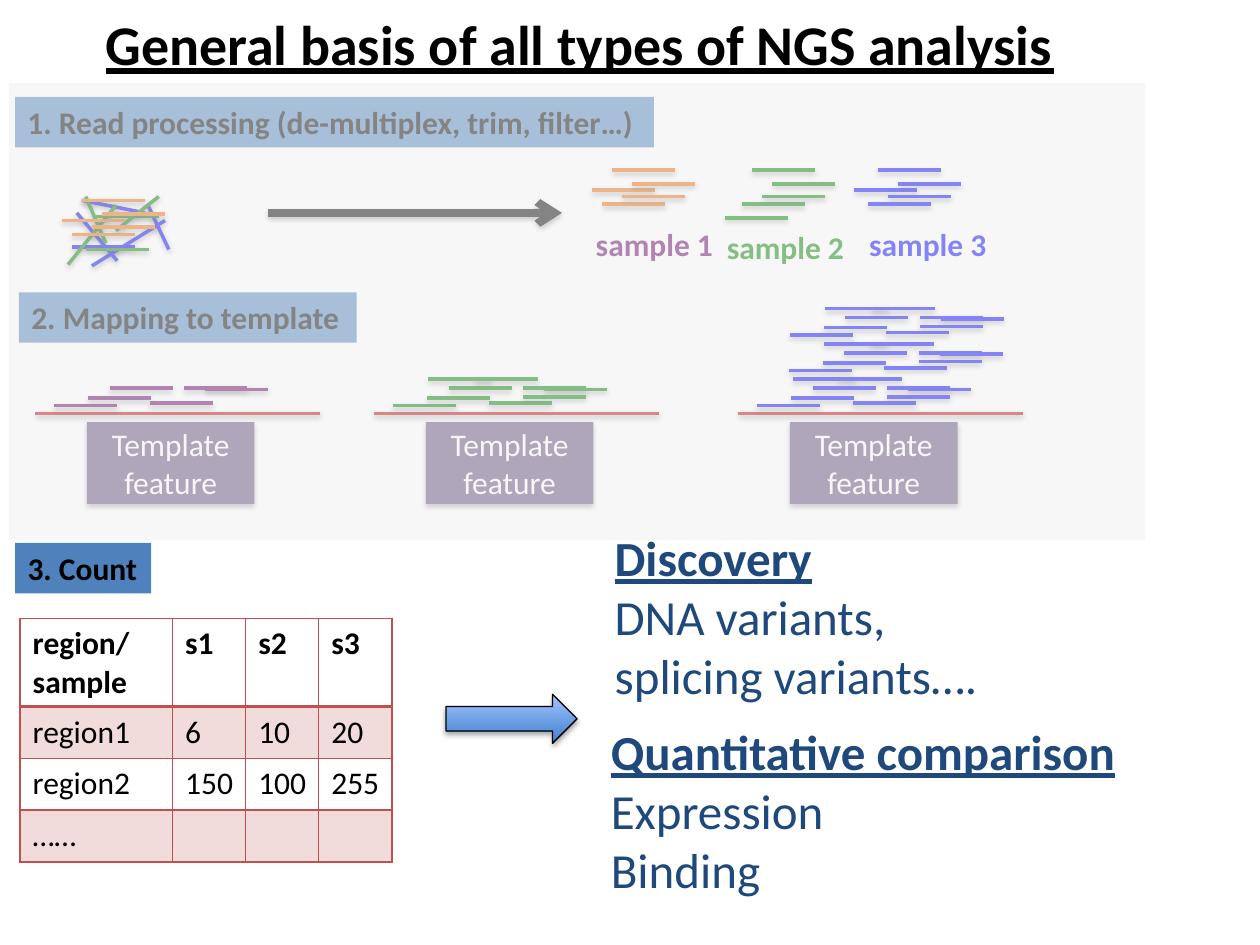
from dataclasses import dataclass
from typing import Iterable, NamedTuple

from lxml.etree import SubElement as Sub
from pptx import Presentation
from pptx.dml.color import RGBColor as Rgb
from pptx.enum.shapes import MSO_CONNECTOR as Link, MSO_SHAPE as Form
from pptx.enum.text import MSO_ANCHOR as Anchor, MSO_AUTO_SIZE as Fit, PP_ALIGN as Align
from pptx.oxml import parse_xml
from pptx.oxml.ns import nsdecls, qn
from pptx.util import Inches, Pt


@dataclass(frozen=True)
class Theme:
    font: str = "Calibri"
    black: str = "000000"
    white: str = "FFFFFF"
    navy: str = "1F497D"
    bar: str = "4F81BD"
    box: str = "604A7B"
    track: str = "BE0204"
    grid: str = "C0504D"
    veil: str = "F2F2F2"
    orange: str = "E46C0A"
    plum: str = "660066"
    green: str = "008000"
    blue: str = "0000FF"
    dark: str = "3F80CE"
    light: str = "A4C4FF"
    head: int = 32
    large: int = 28
    body: int = 18


class Spot(NamedTuple):
    """A point on a grid of 100 columns by 75 rows."""
    col: float
    row: float

    def move(self, by: "Spot") -> "Spot":
        return Spot(self.col + by.col, self.row + by.row)


class Area(NamedTuple):
    col: float
    row: float
    wide: float
    high: float


class Batch(NamedTuple):
    """The reads of one sample after sorting."""
    name: str
    label: Spot
    base: Spot
    extra: Spot
    tone: str
    ink: str


class Map(NamedTuple):
    """The reads of one sample on its template."""
    col: float
    reads: list[Spot]
    tone: str


class Panel(NamedTuple):
    area: Area
    head: str
    lines: tuple[str, ...]


THEME = Theme()
READ = 5
BATCH = [Spot(.8, 1.1), Spot(2.4, .5), Spot(1.6, -1.6), Spot(3.2, -.5)]
CORE = [Spot(9.1, -.8), Spot(1.5, -.6), Spot(4.2, -1.2), Spot(11.8, -2), Spot(5.9, -2)]
PEAK = Spot(13.5, -1.9)
FULL = CORE + [PEAK, Spot(11.8, -1.3), Spot(8, -2.7), Spot(4.3, -2.7)]
LAYERS = [Spot(0, 0), Spot(2.5, -2.8), Spot(2.6, -5.6)]

BATCHES = [
    Batch("sample 1", Spot(46.3, 17.4), Spot(47, 15.1), Spot(0, 0), THEME.orange, THEME.plum),
    Batch("sample 2", Spot(56.7, 17.6), Spot(58.1, 15.1), Spot(-.6, 2.2), THEME.green, THEME.green),
    Batch("sample 3", Spot(68, 17.4), Spot(68.1, 15.1), Spot(-.3, 0), THEME.blue, THEME.blue),
]
MAPS = [
    Map(2.8, CORE + [PEAK], THEME.plum),
    Map(29.7, FULL, THEME.green),
    Map(58.6, [spot.move(up) for up in LAYERS for spot in FULL], THEME.blue),
]
TANGLE = {
    THEME.blue: [(11.7, 16.2, 13.4, 19.8), (5.7, 19.6, 10.7, 19.6), (7.3, 21.1, 13.1, 17.5),
                 (6.5, 15.9, 11.5, 16.9), (6.1, 16.9, 9.3, 20.7)],
    THEME.green: [(5.4, 21, 9.2, 16.3), (6.8, 19.8, 11.8, 19.8), (8.4, 19.3, 6.8, 15.6),
                  (7.6, 17.2, 12.6, 17.2), (9.2, 18.3, 12.6, 15.6)],
}
BARS = [
    (Area(1.5, 23.2, 26.8, 4), "2. Mapping to template"),
    (Area(1.2, 43.1, 10.8, 4), "3. Count"),
    (Area(1.2, 7.7, 50.7, 4), "1. Read processing (de-multiplex, trim, filter…)"),
]
PANELS = [
    Panel(Area(47.8, 41.4, 31.2, 15.1), "Discovery", ("DNA variants,", "splicing variants….")),
    Panel(Area(47.5, 56.8, 42.6, 15.1), "Quantitative comparison", ("Expression", "Binding")),
]
COUNTS = [("region/sample", "s1", "s2", "s3"), ("region1", "6", "10", "20"),
          ("region2", "150", "100", "255"), ("……", "", "", "")]

deck = Presentation()
deck.slide_width, deck.slide_height = Inches(10), Inches(7.5)
slide = deck.slides.add_slide(deck.slide_layouts[5])
shapes = slide.shapes


def scale(*cells: float) -> list[int]:
    return [round(cell * deck.slide_width / 100) for cell in cells]


def write(para, text: str, size: int, tone: str, bold=False, under=False) -> None:
    run = para.add_run()
    run.text = text
    font = run.font
    font.name, font.size, font.bold, font.underline = THEME.font, Pt(size), bold, under
    font.color.rgb = Rgb.from_string(tone)


def fade(node, share: int) -> None:
    """Make the first colour under the node partly clear."""
    Sub(next(node.iter(qn("a:srgbClr"))), qn("a:alpha"), val=str(share * 1000))


def shade(item, share: int, dist: float) -> None:
    """Give a soft shadow that falls straight down."""
    props = item._element.spPr
    for old in props.findall(qn("a:effectLst")):
        props.remove(old)
    cast = Sub(Sub(props, qn("a:effectLst")), qn("a:outerShdw"), blurRad=str(Pt(3.15)),
               dist=str(Pt(dist)), dir="5400000", rotWithShape="0")
    Sub(cast, qn("a:srgbClr"), val=THEME.black)
    fade(cast, share)


def stroke(start: Spot, end: Spot, tone: str, width: float = 2, arrow=False) -> None:
    item = shapes.add_connector(Link.STRAIGHT, *scale(*start, *end))
    item.line.width = Pt(width)
    item.line.color.rgb = Rgb.from_string(tone)
    if arrow:
        Sub(item.line._get_or_add_ln(), qn("a:tailEnd"), type="arrow")
    shade(item, 38, 1.57)


def pile(base: Spot, reads: Iterable[Spot], tone: str) -> None:
    """Draw level reads at their offsets from the base."""
    for read in reads:
        start = base.move(read)
        stroke(start, start.move(Spot(READ, 0)), tone)


def block(area: Area, tone: str, form=Form.RECTANGLE):
    item = shapes.add_shape(form, *scale(*area))
    item.shadow.inherit = False
    item.fill.solid()
    item.fill.fore_color.rgb = Rgb.from_string(tone)
    item.line.fill.background()
    return item


def note(area: Area):
    frame = shapes.add_textbox(*scale(*area)).text_frame
    frame.word_wrap, frame.auto_size = False, Fit.SHAPE_TO_FIT_TEXT
    return frame


def edge(cell, low: int) -> None:
    props = cell._tc.get_or_add_tcPr()
    for side, width in zip("LRTB", (1, 1, 1, low)):
        props.append(parse_xml(
            f'<a:ln{side} {nsdecls("a")} w="{Pt(width)}"><a:solidFill>'
            f'<a:srgbClr val="{THEME.grid}"/></a:solidFill></a:ln{side}>'))


def tally(area: Area) -> None:
    """Draw the table of counts."""
    table = shapes.add_table(len(COUNTS), len(COUNTS[0]), *scale(*area)).table
    table.first_row = table.horz_banding = False
    for part, wide in zip(table.columns, scale(12.1, 5.8, 5.8, 5.8)):
        part.width = wide
    for part, high in zip(table.rows, scale(7, 4.1, 4.1, 4.1)):
        part.height = high
    for row, texts in enumerate(COUNTS):
        for col, text in enumerate(texts):
            cell = table.cell(row, col)
            edge(cell, 1 if row else 2)
            if row % 2:
                cell.fill.solid()
                cell.fill.fore_color.rgb = Rgb.from_string(THEME.grid)
                fade(cell._tc.tcPr.find(qn("a:solidFill")), 20)
            else:
                cell.fill.background()
            if text:
                write(cell.text_frame.paragraphs[0], text, THEME.body, THEME.black, row == 0)


title = shapes.title
title.left, title.top, title.width, title.height = scale(-.2, 0, 92.4, 6.8)
title.text_frame.vertical_anchor = Anchor.MIDDLE
para = title.text_frame.paragraphs[0]
para.alignment = Align.CENTER
write(para, "General basis of all types of NGS analysis", THEME.head, THEME.black, True, True)

for batch in BATCHES:
    pile(batch.base, [batch.extra, *BATCH], batch.tone)
    frame = note(Area(*batch.label, 11.4, 4))
    write(frame.paragraphs[0], batch.name, THEME.body, batch.ink, True)

for plot in MAPS:
    base = Spot(plot.col, 32.8)
    stroke(base, base.move(Spot(22.6, 0)), THEME.track)
    pile(base, plot.reads, plot.tone)
    box = block(Area(plot.col + 4.1, 33.5, 13.3, 6.5), THEME.box)
    shade(box, 35, 1.81)
    para = box.text_frame.paragraphs[0]
    para.alignment = Align.CENTER
    write(para, "Template feature", THEME.body, THEME.white)

for area, text in BARS:
    frame = block(area, THEME.bar).text_frame
    frame.vertical_anchor, frame.word_wrap = Anchor.TOP, False
    frame.paragraphs[0].alignment = Align.LEFT
    write(frame.paragraphs[0], text, THEME.body, THEME.black, True)

tally(Area(1.6, 49.1, 29.5, 19.3))

for panel in PANELS:
    frame = note(panel.area)
    write(frame.paragraphs[0], panel.head, THEME.large, THEME.navy, True, True)
    for text in panel.lines:
        write(frame.add_paragraph(), text, THEME.large, THEME.navy)

arrow = block(Area(35.4, 55.1, 10.4, 3.9), THEME.bar, Form.RIGHT_ARROW)
arrow.fill.gradient()
arrow.fill.gradient_angle = 90
for stop, tone, place in zip(arrow.fill.gradient_stops, (THEME.dark, THEME.light), (0, 1)):
    stop.color.rgb, stop.position = Rgb.from_string(tone), place
arrow.line.color.rgb, arrow.line.width = Rgb.from_string(THEME.black), Pt(.75)
shade(arrow, 35, 1.81)

for tone, lines in TANGLE.items():
    for left, top, right, low in lines:
        stroke(Spot(left, top), Spot(right, low), tone)
pile(Spot(4.9, 17.5), [Spot(0, 0), *BATCH], THEME.orange)
stroke(Spot(21.3, 16.9), Spot(44.6, 16.9), THEME.black, 4.5, arrow=True)

veil = block(Area(.7, 6.6, 90.2, 36.3), THEME.veil)
fade(veil._element.spPr, 55)
deck.save("out.pptx")
